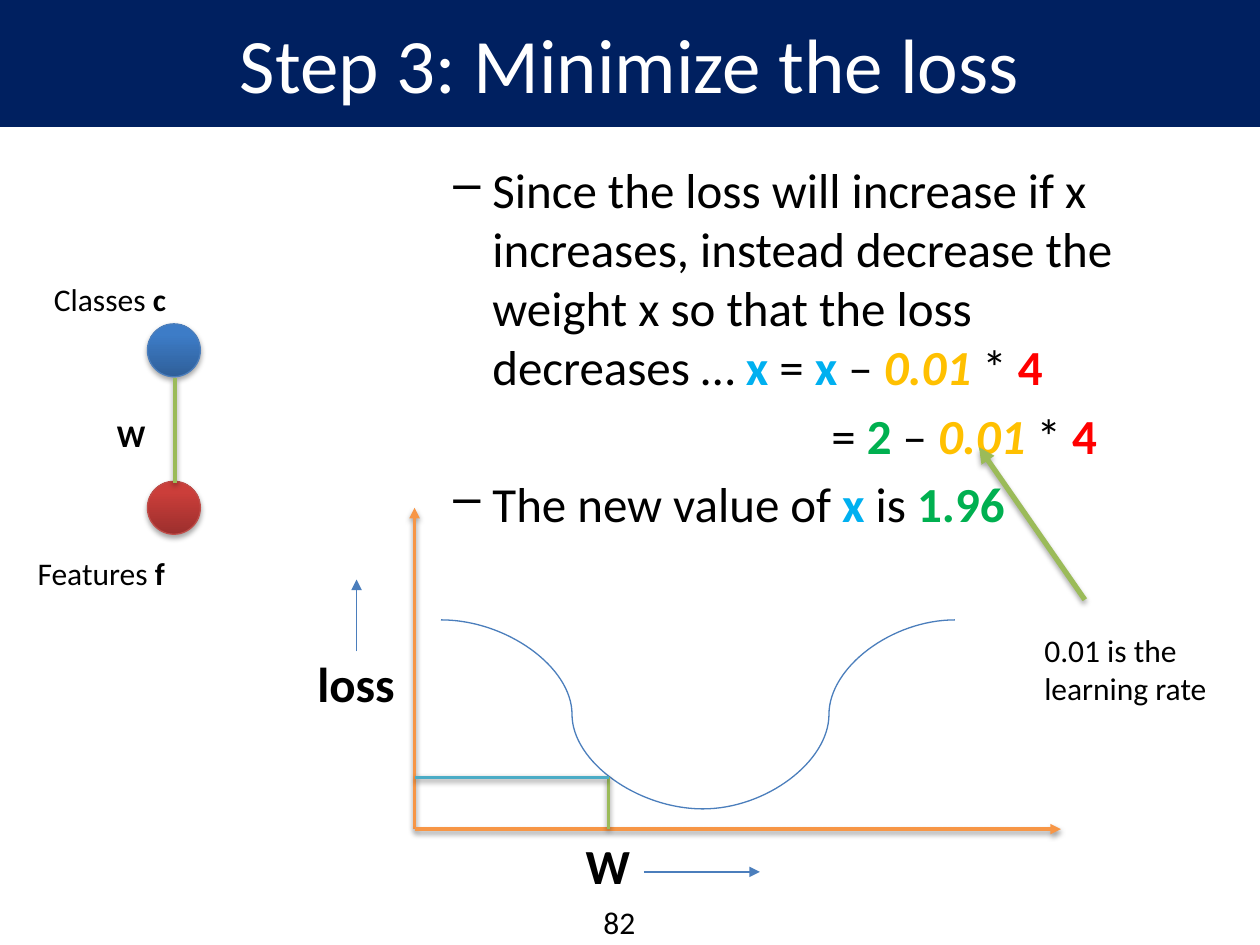
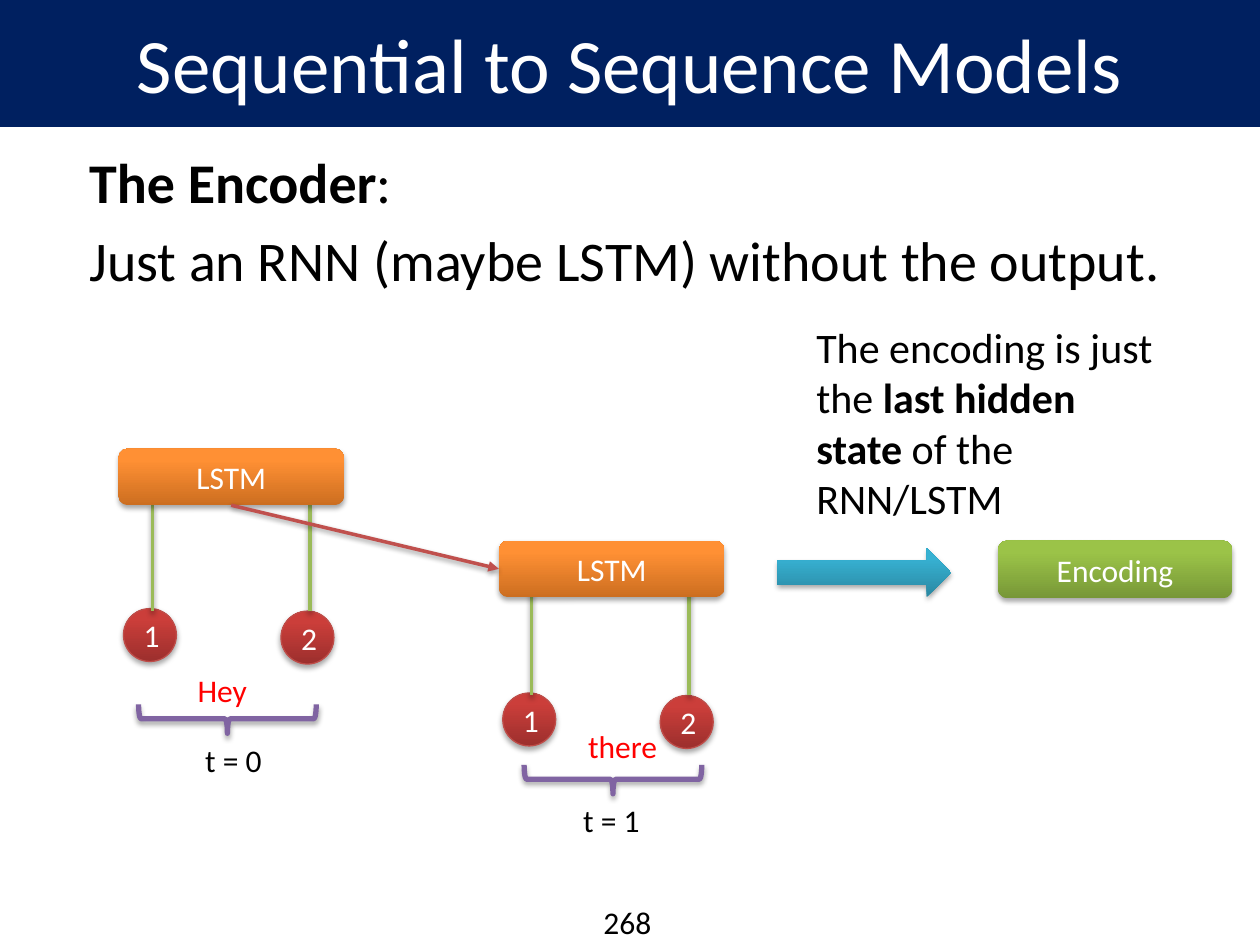
from dataclasses import dataclass
from typing import NamedTuple, Optional

from lxml.etree import SubElement
from pptx import Presentation
from pptx.dml.color import RGBColor
from pptx.enum.shapes import MSO_CONNECTOR as Link, MSO_SHAPE as Preset
from pptx.enum.text import MSO_ANCHOR as Anchor, PP_ALIGN as Align
from pptx.oxml.ns import qn
from pptx.util import Inches, Pt

FONT = "Calibri"
NAVY = RGBColor(0x00, 0x20, 0x60)
WHITE = RGBColor(0xFF, 0xFF, 0xFF)
BLACK = RGBColor(0x00, 0x00, 0x00)
SKY = RGBColor(0x00, 0xB0, 0xF0)
GOLD = RGBColor(0xFF, 0xC0, 0x00)
RED = RGBColor(0xFF, 0x00, 0x00)
GREEN = RGBColor(0x00, 0xB0, 0x50)
BLUE_LINE = RGBColor(0x4B, 0x7E, 0xBC)
RED_LINE = RGBColor(0xBF, 0x4C, 0x48)
BRICK = RGBColor(0xC0, 0x50, 0x4D)
OLIVE = RGBColor(0x9B, 0xBB, 0x59)
ORANGE = RGBColor(0xF7, 0x96, 0x46)
AQUA = RGBColor(0x4B, 0xAC, 0xC6)
PURPLE = RGBColor(0x80, 0x64, 0xA2)

NODE_SIZE = 0.42
TITLE_ONLY = 5


class Run(NamedTuple):
    text: str
    color: Optional[RGBColor] = None
    bold: bool = False
    italic: bool = False


class Gloss(NamedTuple):
    """Vertical gradient from a dark bottom to a light top, with an outline."""
    dark: RGBColor
    light: RGBColor
    outline: Optional[RGBColor] = None


class Shadow(NamedTuple):
    opacity: int
    distance: float


BLUE_GLOSS = Gloss(RGBColor(0x2F, 0x5F, 0x99), RGBColor(0x3D, 0x7C, 0xC7), BLUE_LINE)
RED_GLOSS = Gloss(RGBColor(0x9C, 0x2F, 0x2D), RGBColor(0xCB, 0x3E, 0x3A), RED_LINE)
ORANGE_GLOSS = Gloss(RGBColor(0xCC, 0x6E, 0x20), RGBColor(0xFF, 0x90, 0x34))
AQUA_GLOSS = Gloss(RGBColor(0x2A, 0x88, 0xA2), RGBColor(0x37, 0xB1, 0xD2))
GREEN_GLOSS = Gloss(RGBColor(0x77, 0x97, 0x37), RGBColor(0x9B, 0xC3, 0x48))
SHAPE_SHADOW = Shadow(35, 1.8)
LINE_SHADOW = Shadow(38, 1.6)


@dataclass
class EncoderStep:
    """One time step; each position is (left, top) in inches."""
    cell: tuple[float, float]
    links: tuple[float, float]
    brace: tuple[float, float]
    word: str
    word_at: tuple[float, float]
    time: str
    time_at: tuple[float, float]


ENCODER_STEPS = (
    EncoderStep((0.94, 3.56), (1.21, 4.01), (1.69, 5), "Hey", (1.47, 5.28), "t = 0", (1.53, 5.83)),
    EncoderStep((3.96, 4.29), (4.22, 4.68), (4.75, 5.48), "there", (4.57, 5.72), "t = 1", (4.53, 6.31)),
)


def set_effects(shape, shadow: Optional[Shadow]) -> None:
    """Replace the theme's effects with the given shadow, or with none."""
    effects = SubElement(shape._element.spPr, qn("a:effectLst"))
    if shadow:
        outer = SubElement(effects, qn("a:outerShdw"), blurRad=str(Pt(3.1)),
                           dist=str(Pt(shadow.distance)), dir="5400000", rotWithShape="0")
        black = SubElement(outer, qn("a:srgbClr"), val="000000")
        SubElement(black, qn("a:alpha"), val=str(shadow.opacity * 1000))


def write(paragraph, runs: list[Run], size: float, color: RGBColor = BLACK) -> None:
    font = paragraph.font
    font.name, font.size = FONT, Pt(size)
    font.color.rgb = color
    for part in runs:
        run = paragraph.add_run()
        run.text = part.text
        if part.color is not None:
            run.font.color.rgb = part.color
        if part.bold:
            run.font.bold = True
        if part.italic:
            run.font.italic = True


def add_text(slide, left: float, top: float, width: float, height: float,
             *paragraphs: list[Run], size: float = 18, color: RGBColor = BLACK,
             wrap: bool = False, space_before: float = 0):
    frame = slide.shapes.add_textbox(Inches(left), Inches(top), Inches(width), Inches(height)).text_frame
    frame.word_wrap = wrap
    for index, runs in enumerate(paragraphs):
        paragraph = frame.add_paragraph() if index else frame.paragraphs[0]
        write(paragraph, runs, size, color)
        paragraph.space_before = Pt(space_before)
    return frame


def indent(paragraph, margin: float, first: float = 0, bullet: str = "") -> None:
    properties = paragraph._p.get_or_add_pPr()
    properties.set("marL", str(Inches(margin)))
    properties.set("indent", str(Inches(first)))
    if bullet:
        # Bullets come after spacing but before the default run properties.
        mark = SubElement(properties, qn("a:buChar"), char=bullet)
        defaults = properties.find(qn("a:defRPr"))
        if defaults is not None:
            defaults.addprevious(mark)


def add_glossy(slide, preset: Preset, left: float, top: float, width: float, height: float,
               gloss: Gloss, label: str = ""):
    shape = slide.shapes.add_shape(preset, Inches(left), Inches(top), Inches(width), Inches(height))
    shape.fill.gradient()
    shape.fill.gradient_angle = 90
    bottom, top_stop = shape.fill.gradient_stops
    bottom.color.rgb, bottom.position = gloss.dark, 0
    top_stop.color.rgb, top_stop.position = gloss.light, 0.8
    if gloss.outline is None:
        shape.line.fill.background()
    else:
        shape.line.color.rgb = gloss.outline
        shape.line.width = Pt(0.75)
    set_effects(shape, SHAPE_SHADOW)
    if label:
        shape.text_frame.vertical_anchor = Anchor.MIDDLE
        paragraph = shape.text_frame.paragraphs[0]
        paragraph.alignment = Align.CENTER
        write(paragraph, [Run(label)], 18, WHITE)
    return shape


def add_node(slide, left: float, top: float, gloss: Gloss, label: str = "") -> None:
    add_glossy(slide, Preset.OVAL, left, top, NODE_SIZE, NODE_SIZE, gloss, label)


def add_line(slide, start: tuple[float, float], end: tuple[float, float], color: RGBColor,
             width: float = 2, arrow: bool = False, shadow: Optional[Shadow] = LINE_SHADOW,
             kind: Link = Link.STRAIGHT):
    line = slide.shapes.add_connector(kind, *(Inches(value) for value in (*start, *end)))
    line.line.color.rgb = color
    line.line.width = Pt(width)
    if arrow:
        SubElement(line.line._get_or_add_ln(), qn("a:tailEnd"), type="triangle")
    set_effects(line, shadow)
    return line


def add_brace(slide, left: float, top: float) -> None:
    brace = slide.shapes.add_shape(Preset.LEFT_BRACE, Inches(left), Inches(top), Inches(0.23), Inches(1.41))
    brace.rotation = 270
    brace.fill.background()
    brace.line.color.rgb = PURPLE
    brace.line.width = Pt(3)
    set_effects(brace, SHAPE_SHADOW)


def add_titled_slide(deck, heading: str, number: int):
    slide = deck.slides.add_slide(deck.slide_layouts[TITLE_ONLY])
    title = slide.shapes.title
    title.left, title.top, title.width, title.height = 0, 0, deck.slide_width, Inches(1)
    title.fill.solid()
    title.fill.fore_color.rgb = NAVY
    title.line.color.rgb = NAVY
    title.line.width = Pt(0.75)
    title.text_frame.vertical_anchor = Anchor.MIDDLE
    paragraph = title.text_frame.paragraphs[0]
    paragraph.alignment = Align.CENTER
    write(paragraph, [Run(heading)], 44, WHITE)
    footer = add_text(slide, 4.58, 7.12, 0.83, 0.4, [Run(str(number))], wrap=True)
    footer.margin_left = Inches(0.21)
    return slide


def add_loss_slide(deck) -> None:
    slide = add_titled_slide(deck, "Step 3: Minimize the loss", 82)

    add_node(slide, 1.17, 2.57, BLUE_GLOSS)
    add_node(slide, 1.17, 3.82, RED_GLOSS)
    add_text(slide, 0.2, 4.35, 1.22, 0.4, [Run("Features "), Run("f", bold=True)])
    add_text(slide, 0.33, 2.17, 1.1, 0.4, [Run("Classes "), Run("c", bold=True)])
    add_line(slide, (1.39, 3), (1.39, 3.83), OLIVE)
    add_text(slide, 0.83, 3.25, 0.43, 0.4, [Run("W", bold=True)])

    x = Run("x", SKY, bold=True)
    rate_times_slope = [Run(" – "), Run("0.01", GOLD, bold=True, italic=True),
                        Run(" * "), Run("4", RED, bold=True)]
    body = add_text(
        slide, 3, 1.22, 6.42, 3.94,
        [Run("Since the loss will increase if x increases, instead decrease the weight x "
             "so that the loss decreases … "), x, Run(" = "), x, *rate_times_slope],
        [Run("= "), Run("2", GREEN, bold=True), *rate_times_slope],
        [Run("The new value of "), x, Run(" is "), Run("1.96", GREEN, bold=True)],
        size=28, wrap=True, space_before=5.6)
    update, substitution, result = body.paragraphs
    for bulleted in (update, result):
        indent(bulleted, 0.81, -0.31, "–")
    indent(substitution, 3.5)

    minimum = (5.58, 6.42)
    for rim in (3.5, 7.58):
        add_line(slide, (rim, 4.92), minimum, BLUE_LINE, 0.75, shadow=None, kind=Link.CURVE)
    origin = (3.29, 6.58)
    for axis_end in ((3.29, 4.03), (8.42, 6.58)):
        add_line(slide, origin, axis_end, ORANGE, arrow=True)
    add_text(slide, 4.55, 6.58, 0.56, 0.57, [Run("W", bold=True)], size=28, wrap=True)
    add_text(slide, 2.42, 5.14, 0.87, 0.57, [Run("loss", bold=True)], size=28, wrap=True)
    for start, end in (((5.11, 6.92), (6.03, 6.92)), ((2.83, 5.17), (2.83, 4.6))):
        add_line(slide, start, end, BLUE_LINE, 0.75, arrow=True, shadow=None)
    current = (4.83, 6.17)
    add_line(slide, (4.83, 6.58), current, OLIVE)
    add_line(slide, (3.29, 6.17), current, AQUA)

    add_line(slide, (8.61, 4.76), (7.77, 3.55), OLIVE, 3, arrow=True, shadow=SHAPE_SHADOW)
    add_text(slide, 8.19, 4.96, 1.67, 0.71, [Run("0.01 is the learning rate")], wrap=True)


def add_encoder_step(slide, step: EncoderStep):
    """Draw one time step and return its LSTM cell."""
    first_link, link_top = step.links
    for index in range(2):
        link = first_link + 1.25 * index
        add_node(slide, link - 0.23, link_top + 0.82 + 0.02 * index, RED_GLOSS, str(index + 1))
        add_line(slide, (link, link_top), (link, link_top + 0.84), OLIVE)
    add_brace(slide, *step.brace)
    add_text(slide, *step.time_at, 0.66, 0.4, [Run(step.time)])
    add_text(slide, *step.word_at, 0.6 if len(step.word) < 4 else 0.76, 0.4, [Run(step.word)], color=RED)
    return add_glossy(slide, Preset.ROUNDED_RECTANGLE, *step.cell, 1.79, 0.45, ORANGE_GLOSS, "LSTM")


def add_encoder_slide(deck) -> None:
    slide = add_titled_slide(deck, "Sequential to Sequence Models", 268)
    body = add_text(slide, 0.61, 1.12, 9.14, 1.4,
                    [Run("The Encoder", bold=True), Run(":")],
                    [Run("Just an RNN (maybe LSTM) without the output.")],
                    size=32, wrap=True, space_before=6.4)
    for paragraph in body.paragraphs:
        indent(paragraph, 0.38, -0.38)

    first_cell, second_cell = [add_encoder_step(slide, step) for step in ENCODER_STEPS]
    hidden_state = add_line(slide, (1.83, 4.01), (3.96, 4.51), BRICK, arrow=True)
    hidden_state.begin_connect(first_cell, 2)
    hidden_state.end_connect(second_cell, 1)

    add_glossy(slide, Preset.RIGHT_ARROW, 6.17, 4.35, 1.38, 0.39, AQUA_GLOSS)
    add_glossy(slide, Preset.ROUNDED_RECTANGLE, 7.92, 4.29, 1.86, 0.46, GREEN_GLOSS, "Encoding")
    add_text(slide, 6.38, 2.5, 2.89, 1.72,
             [Run("The encoding is just the "), Run("last hidden state ", bold=True),
              Run("of the RNN/LSTM")], size=24, wrap=True)


def main() -> None:
    deck = Presentation()
    deck.slide_width, deck.slide_height = Inches(10), Inches(7.5)
    add_loss_slide(deck)
    add_encoder_slide(deck)
    deck.save("out.pptx")


if __name__ == "__main__":
    main()
